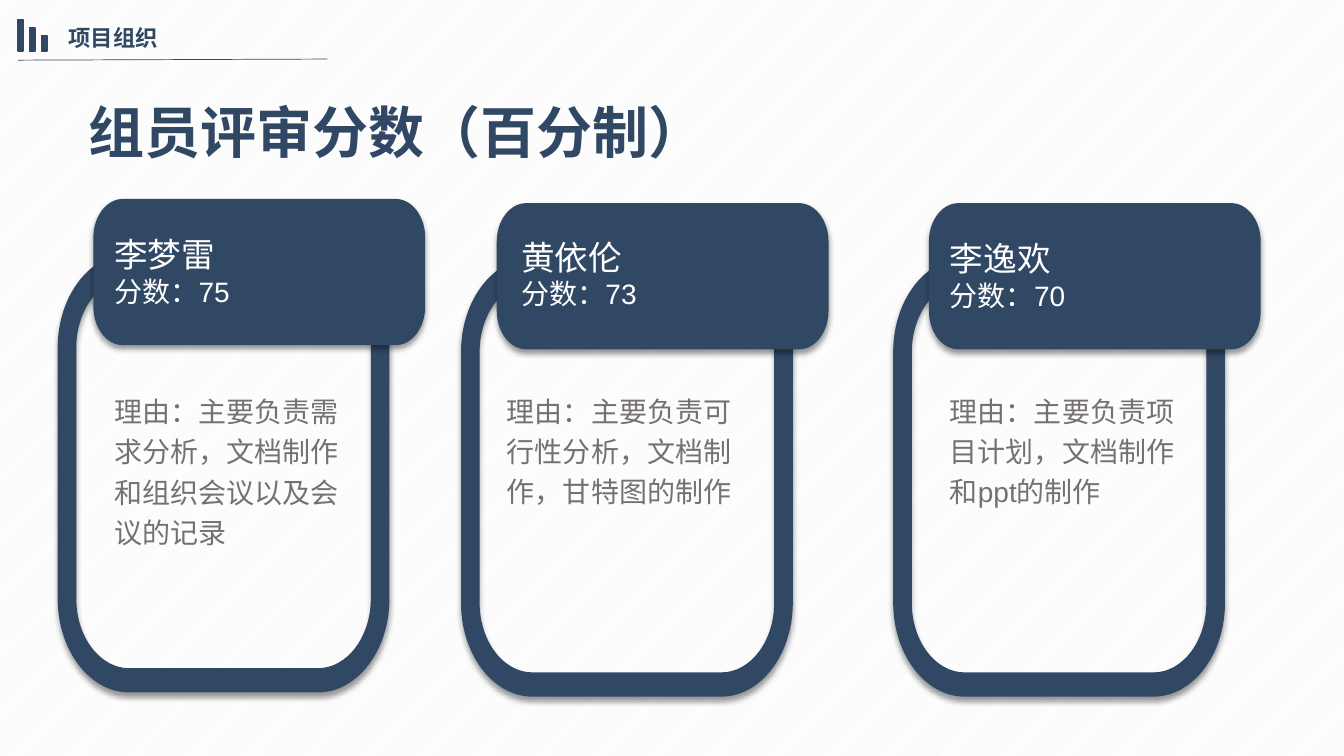
import pptx
import pptx.dml.color
import pptx.enum.dml
import pptx.enum.shapes
import pptx.enum.text
import pptx.oxml
import pptx.oxml.ns
import pptx.util

Pt = pptx.util.Pt
ANCHOR = pptx.enum.text.MSO_ANCHOR
NAVY, GREY, WHITE = "314865", "767171", "FFFFFF"
FONT = "Arial"
NAMESPACE = pptx.oxml.ns.nsdecls("a")

FRAME_WIDTH, FRAME_HEIGHT = 237, 313.2
TAB_WIDTH, TAB_HEIGHT = 237, 104.4
BORDER_X, BORDER_Y = 13.3, 17.3
LINE_HEIGHT = 29.1
CURVE = 0.55  # how far a corner's handles reach towards the corner

# left, top, name offset, reason offset, reason lines, name, score, reason
CARDS = [
    (41.2, 142.1, (33.4, 24.9), (33.4, 134.4), 4, "李梦雷", 75,
     "理由：主要负责需求分析，文档制作和组织会议以及会议的记录"),
    (329.3, 145.1, (36, 23.9), (25.7, 131.3), 3, "黄依伦", 73,
     "理由：主要负责可行性分析，文档制作，甘特图的制作"),
    (638, 145.1, (33.4, 24.7), (33.4, 131.3), 3, "李逸欢", 70,
     "理由：主要负责项目计划，文档制作和ppt的制作"),
]


def color(hex_string):
    """Turn a hex string into a colour."""
    return pptx.dml.color.RGBColor.from_string(hex_string)


def paint(shape, hex_string):
    """Give a shape a solid fill."""
    shape.fill.solid()
    shape.fill.fore_color.rgb = color(hex_string)


def write(shape, lines, hex_string, bold=False, spacing=None, **frame_format):
    """Write (text, size) lines, one paragraph each, into a shape."""
    frame = shape.text_frame
    settings = {"word_wrap": True, "auto_size": pptx.enum.text.MSO_AUTO_SIZE.NONE,
                "vertical_anchor": ANCHOR.TOP, **frame_format}
    for name, value in settings.items():
        setattr(frame, name, value)
    for index, (text, size) in enumerate(lines):
        paragraph = frame.add_paragraph() if index else frame.paragraphs[0]
        paragraph.alignment = pptx.enum.text.PP_ALIGN.LEFT
        if spacing:
            paragraph.line_spacing = spacing
        run = paragraph.add_run()
        run.text = text
        run.font.color.rgb = color(hex_string)
        for name, value in {"name": FONT, "size": Pt(size), "bold": bold}.items():
            setattr(run.font, name, value)


def add_text(slide, left, top, width, height, *content, **text_format):
    """Add a text box at the given place."""
    box = slide.shapes.add_textbox(Pt(left), Pt(top), Pt(width), Pt(height))
    write(box, *content, **text_format)


def rounded_outline(left, top, width, height, radius_x, radius_y):
    """Return start, two handles and end of each corner of a rounded box."""
    right, bottom = left + width, top + height
    points = []
    for x, y, sign_x, sign_y in ((right, top, -1, 1), (right, bottom, -1, -1),
                                 (left, bottom, 1, -1), (left, top, 1, 1)):
        beside = [(x + sign_x * radius_x * reach, y) for reach in (1, 1 - CURVE)]
        along = [(x, y + sign_y * radius_y * reach) for reach in (1 - CURVE, 1)]
        corner = beside + along
        points += corner if sign_x * sign_y < 0 else corner[::-1]
    return [(Pt(x), Pt(y)) for x, y in points]


def curve_corners(shape):
    """Merge the last three of every four outline points into one curve."""
    qn = pptx.oxml.ns.qn
    nodes = list(shape._element.spPr.iter(qn("a:moveTo"), qn("a:lnTo")))
    for start in range(0, len(nodes), 4):
        curve = pptx.oxml.parse_xml(f"<a:cubicBezTo {NAMESPACE}/>")
        nodes[start].addnext(curve)
        for node in nodes[start + 1:start + 4]:
            curve.append(node[0])
            node.getparent().remove(node)


def add_outline(slide, *outlines):
    """Add a navy, softly shadowed freeform; a second outline cuts a hole."""
    builder = slide.shapes.build_freeform(*outlines[0][0])
    builder.add_line_segments(outlines[0][1:], close=True)
    for outline in outlines[1:]:
        builder.move_to(*outline[0])
        builder.add_line_segments(outline[1:], close=True)
    shape = builder.convert_to_shape()
    curve_corners(shape)
    paint(shape, NAVY)
    shape.line.fill.background()
    shape._element.spPr.append(pptx.oxml.parse_xml(
        f'<a:effectLst {NAMESPACE}>'
        f'<a:outerShdw blurRad="{Pt(4)}" dist="{Pt(3)}" dir="5400000" '
        'algn="t" rotWithShape="0"><a:srgbClr val="000000">'
        '<a:alpha val="40000"/></a:srgbClr></a:outerShdw></a:effectLst>'))


def add_header(slide, left, top):
    """Add the section mark: underline, section name and three bars."""
    underline = slide.shapes.add_connector(
        pptx.enum.shapes.MSO_CONNECTOR.STRAIGHT,
        Pt(left), Pt(top + 29.3), Pt(left + 221), Pt(top + 28.5))
    underline.line.color.rgb = color(NAVY)
    underline.line.width = Pt(0.5)
    underline._element.spPr.append(
        pptx.oxml.parse_xml(f"<a:effectLst {NAMESPACE}/>"))
    add_text(slide, left + 29, top, 191.5, 26.6, [("项目组织", 16)], NAVY, bold=True)
    for index, height in enumerate((22.6, 16.5, 11.2)):
        bar = slide.shapes.add_shape(
            pptx.enum.shapes.MSO_SHAPE.RECTANGLE, Pt(left + 8.5 * index),
            Pt(top + 22.7 - height), Pt(3.8), Pt(height))
        bar.shadow.inherit = False
        paint(bar, NAVY)
        bar.line.color.rgb = color(NAVY)
        bar.line.width = Pt(1)


def add_title(slide, left, top, width, height):
    """Place and format the title placeholder."""
    title = slide.shapes.title
    place = {"left": left, "top": top, "width": width, "height": height}
    for name, value in place.items():
        setattr(title, name, Pt(value))
    write(title, [("组员评审分数（百分制）", 40)], NAVY, bold=True)


def add_card(slide, left, top, name_offset, reason_offset, line_count,
             name, score, reason):
    """Add one member's frame, name tab, reason and score."""
    frame_top = top + 39.3
    add_outline(
        slide,
        rounded_outline(left, frame_top, FRAME_WIDTH, FRAME_HEIGHT, 51, 67),
        rounded_outline(left + BORDER_X, frame_top + BORDER_Y,
                        FRAME_WIDTH - 2 * BORDER_X, FRAME_HEIGHT - 2 * BORDER_Y,
                        37.7, 49.7)[::-1])
    add_outline(slide, rounded_outline(left + 25.5, top, TAB_WIDTH, TAB_HEIGHT, 21, 27.5))
    reason_x, reason_y = reason_offset
    add_text(slide, left + reason_x, top + reason_y, 175, LINE_HEIGHT * line_count,
             [(reason, 20)], GREY, spacing=1.2, vertical_anchor=ANCHOR.MIDDLE,
             margin_top=0, margin_right=0, margin_bottom=0)
    name_x, name_y = name_offset
    add_text(slide, left + name_x, top + name_y, 216, 57,
             [(name, 24), (f"分数：{score}", 20)], WHITE, margin_top=0)


def set_background(slide):
    """Fill the slide with pale diagonal stripes."""
    fill = slide.background.fill
    fill.patterned()
    fill.pattern = pptx.enum.dml.MSO_PATTERN.DARK_UPWARD_DIAGONAL
    fill.fore_color.rgb = color("F2F2F2")
    fill.back_color.rgb = color(WHITE)


def main():
    """Build and save the review score slide."""
    presentation = pptx.Presentation()
    presentation.slide_width, presentation.slide_height = Pt(960), Pt(540)
    slide = presentation.slides.add_slide(presentation.slide_layouts[5])
    set_background(slide)
    add_header(slide, 12.8, 13.7)
    add_title(slide, 56.2, 66.2, 819.4, 55.4)
    for card in CARDS:
        add_card(slide, *card)
    presentation.save("out.pptx")


main()
